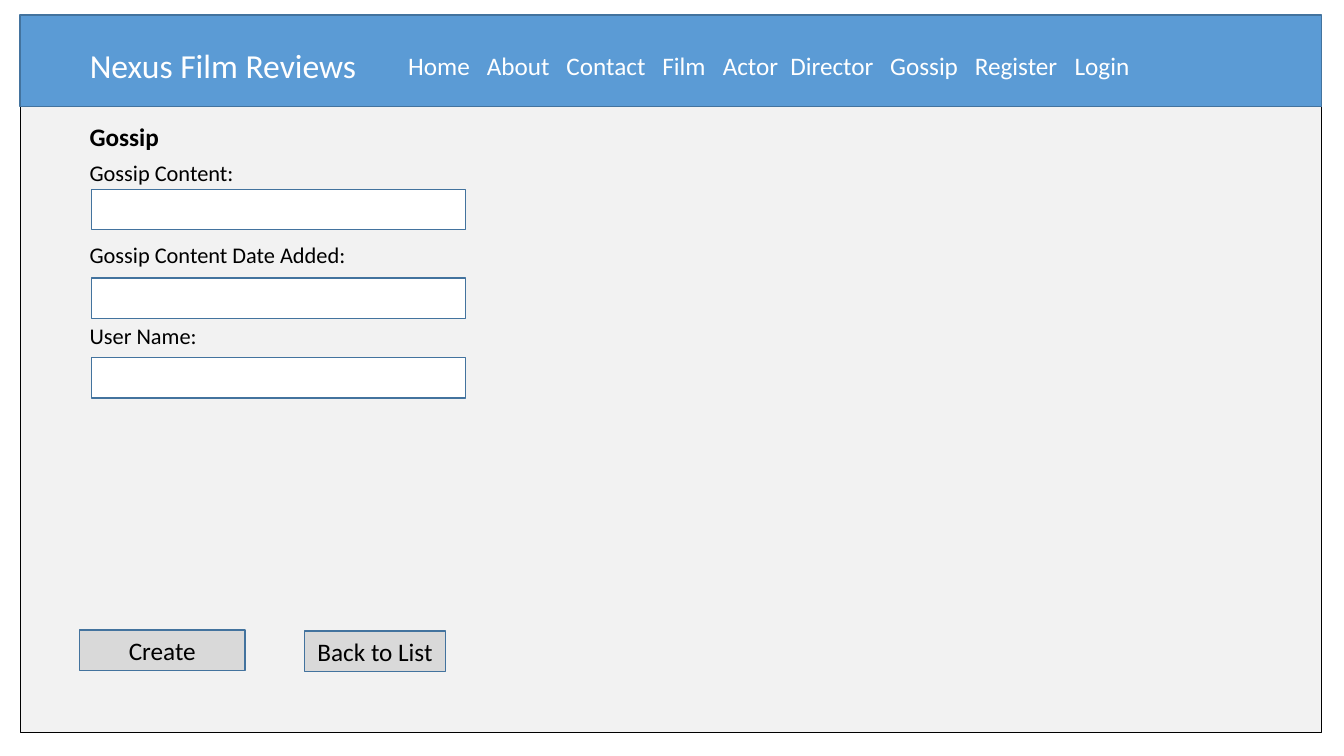
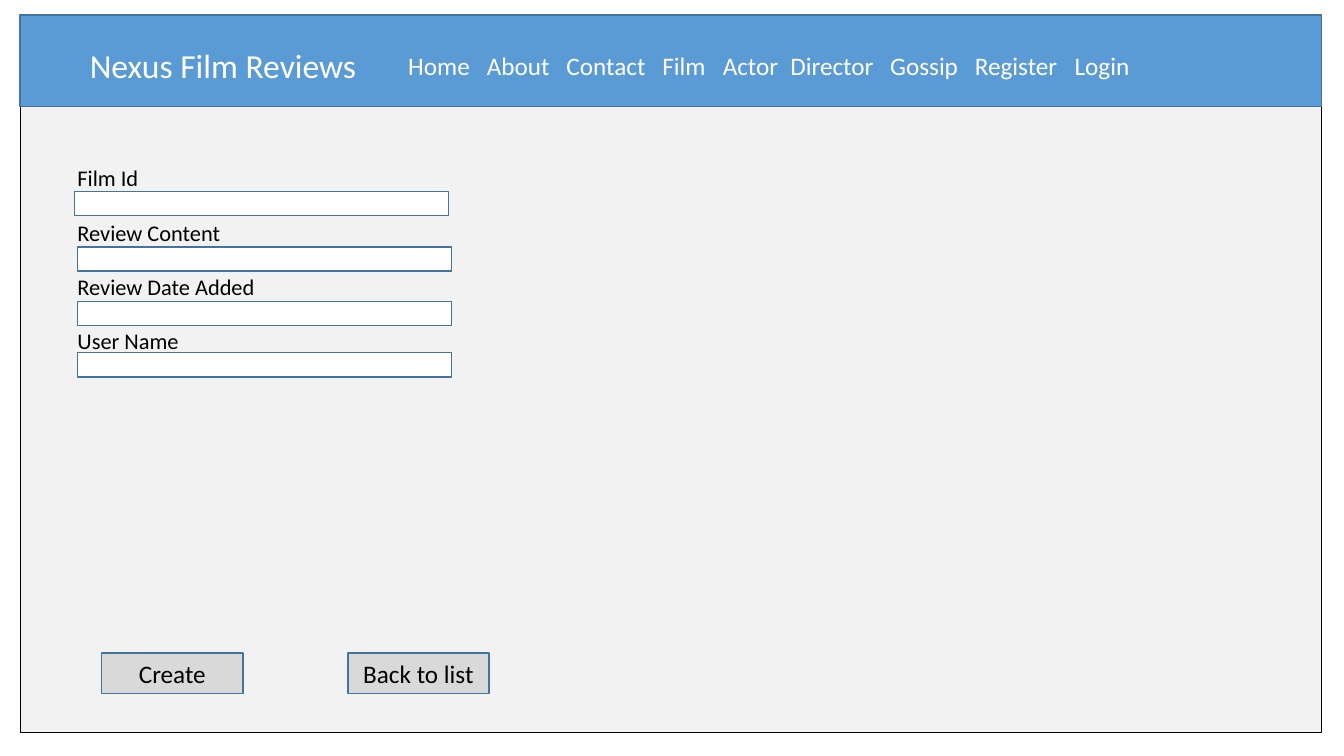
from pptx import Presentation
from pptx.dml.color import RGBColor
from pptx.enum.shapes import MSO_SHAPE
from pptx.enum.text import MSO_ANCHOR, MSO_AUTO_SIZE, PP_ALIGN
from pptx.util import Inches, Pt
from lxml import etree

RECTANGLE = MSO_SHAPE.RECTANGLE
TOP, MIDDLE = MSO_ANCHOR.TOP, MSO_ANCHOR.MIDDLE
LEFT, CENTER = PP_ALIGN.LEFT, PP_ALIGN.CENTER
NO_FIT = MSO_AUTO_SIZE.NONE
DRAWING_NS = "http://schemas.openxmlformats.org/drawingml/2006/main"
FONT = "Calibri"
TITLE_ONLY = 5

COLORS = {
    "page": "F2F2F2", "page_edge": "000000", "band": "5B9BD5",
    "edge": "43739E", "field": "FFFFFF", "button": "D9D9D9",
    "text": "000000", "band_text": "FFFFFF",
}

# Text styles: attributes set on each run's font
STYLES = {
    "site": {"size": Pt(24), "bold": False},
    "nav": {"size": Pt(18), "bold": False},
    "heading": {"size": Pt(18), "bold": True},
    "label": {"size": Pt(16), "bold": False},
    "button": {"size": Pt(18), "bold": False},
}

# Boxes are left, top, width, height in inches
PAGE = (0.2, 0.15, 12.91, 7.12)
BAND = (0.2, 0.15, 12.91, 0.91)
SITE_NAME = "Nexus Film Reviews"
NAV_ITEMS = ["Home", "About", "Contact", "Film", "Actor", "Director",
             "Gossip", "Register", "Login"]
NAV_STOPS = [0.78, 1.57, 2.52, 3.12, 3.79, 4.78, 5.62, 6.61]

# Field and button places are relative to the page's form box
PAGES = [
    {
        "heading": "Gossip",
        "form": (0.79, 1.53, 5.09, 5.4),
        "label_step": 0.81,
        "field_size": (3.71, 0.4),
        "fields": [("Gossip Content:", 0.12, 0.35),
                   ("Gossip Content Date Added:", 0.12, 1.23),
                   ("User Name:", 0.12, 2.02)],
        "buttons": [("Create", 0, 4.72, 1.64),
                    ("Back to List", 2.23, 4.73, 1.4)],
    },
    {
        "heading": None,
        "form": (0.67, 1.58, 5.09, 5.4),
        "label_step": 0.54,
        "field_size": (3.71, 0.24),
        "fields": [("Film Id", 0.07, 0.32),
                   ("Review Content", 0.1, 0.87),
                   ("Review Date Added", 0.1, 1.41),
                   ("User Name", 0.1, 1.92)],
        "buttons": [("Create", 0.34, 4.9, 1.4),
                    ("Back to list", 2.78, 4.9, 1.4)],
    },
]


def inches(box):
    return [Inches(length) for length in box]


def write(shape, text, style, color="text", align=LEFT, anchor=TOP):
    frame = shape.text_frame
    frame_format = {
        "word_wrap": True, "auto_size": NO_FIT, "vertical_anchor": anchor,
        "margin_left": Inches(0.1), "margin_right": Inches(0.1),
        "margin_top": Inches(0.05), "margin_bottom": Inches(0.05),
    }
    for name, value in frame_format.items():
        setattr(frame, name, value)
    paragraph = frame.paragraphs[0]
    paragraph.alignment = align
    run = paragraph.add_run()
    run.text = text
    run.font.name = FONT
    run.font.color.rgb = RGBColor.from_string(COLORS[color])
    for name, value in STYLES[style].items():
        setattr(run.font, name, value)
    return paragraph


def add_text(slide, box, text, style, color="text"):
    return write(slide.shapes.add_textbox(*inches(box)), text, style, color)


def add_panel(slide, box, fill, edge="edge", weight=1):
    panel = slide.shapes.add_shape(RECTANGLE, *inches(box))
    panel.shadow.inherit = False
    panel.fill.solid()
    panel.fill.fore_color.rgb = RGBColor.from_string(COLORS[fill])
    panel.line.color.rgb = RGBColor.from_string(COLORS[edge])
    panel.line.width = Pt(weight)
    return panel


def set_tab_stops(paragraph, stops):
    tabs = etree.SubElement(paragraph._p.get_or_add_pPr(),
                            f"{{{DRAWING_NS}}}tabLst")
    for stop in stops:
        etree.SubElement(tabs, f"{{{DRAWING_NS}}}tab",
                         pos=str(Inches(stop)), algn="l")


def add_header(slide, box):
    left, top, _, _ = box
    add_panel(slide, box, "band")
    # Site name, raised above the band
    site = slide.shapes.title
    site.left, site.top, site.width, site.height = inches(
        (left + 0.59, top + 0.25, 3.5, 0.5))
    write(site, SITE_NAME, "site", "band_text")
    slide.shapes._spTree.append(site._element)
    # Navigation, spaced by tab stops
    nav = add_text(slide, (left + 3.75, top + 0.3, 8.11, 0.4),
                   "\t".join(NAV_ITEMS), "nav", "band_text")
    set_tab_stops(nav, NAV_STOPS)


def add_form(slide, page):
    left, top, width, _ = page["form"]
    if page["heading"]:
        add_text(slide, (left, top - 0.38, width, 0.4),
                 page["heading"], "heading")
    # Labels with their entry fields
    for row, (label, dx, dy) in enumerate(page["fields"]):
        label_top = top + row * page["label_step"]
        add_text(slide, (left, label_top, width, 0.37), label, "label")
        add_panel(slide, (left + dx, top + dy, *page["field_size"]), "field")
    # Buttons
    for caption, dx, dy, button_width in page["buttons"]:
        button = add_panel(
            slide, (left + dx, top + dy, button_width, 0.4), "button")
        write(button, caption, "button", align=CENTER, anchor=MIDDLE)


def add_page(deck, page):
    slide = deck.slides.add_slide(deck.slide_layouts[TITLE_ONLY])
    add_panel(slide, PAGE, "page", "page_edge", 0.5)
    add_header(slide, BAND)
    add_form(slide, page)


def main():
    deck = Presentation()
    deck.slide_width, deck.slide_height = Inches(13.33), Inches(7.5)
    for page in PAGES:
        add_page(deck, page)
    deck.save("out.pptx")


if __name__ == "__main__":
    main()
